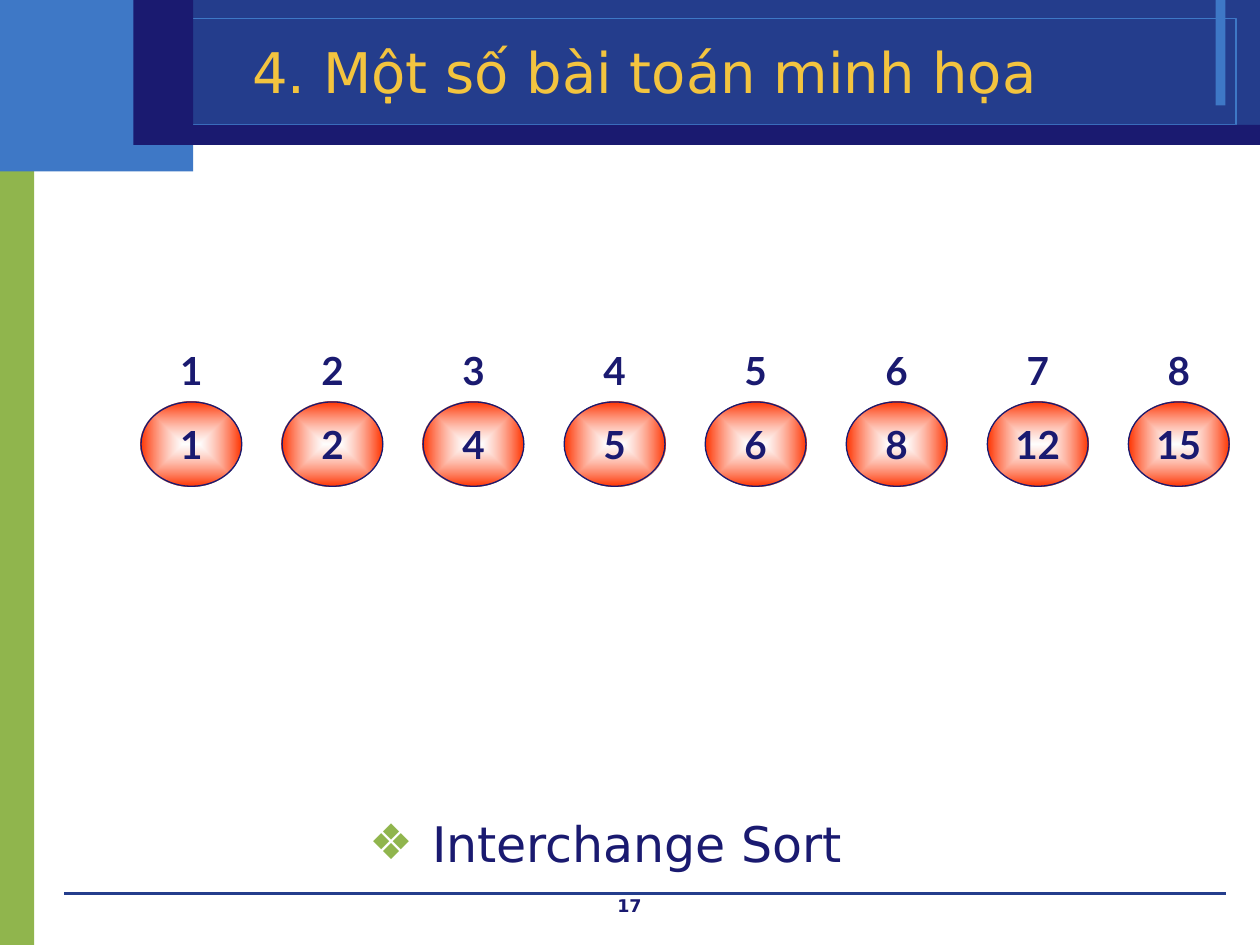
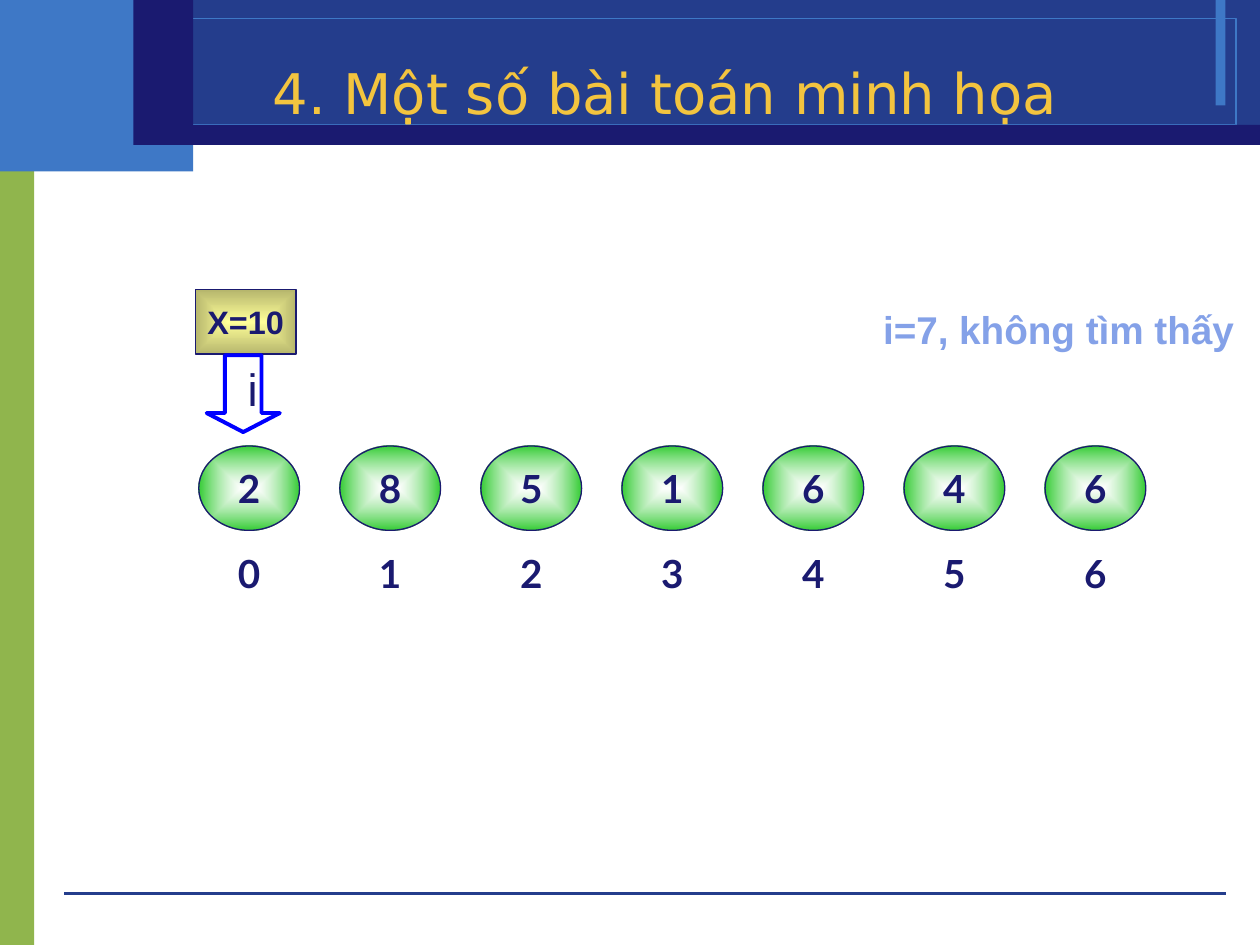
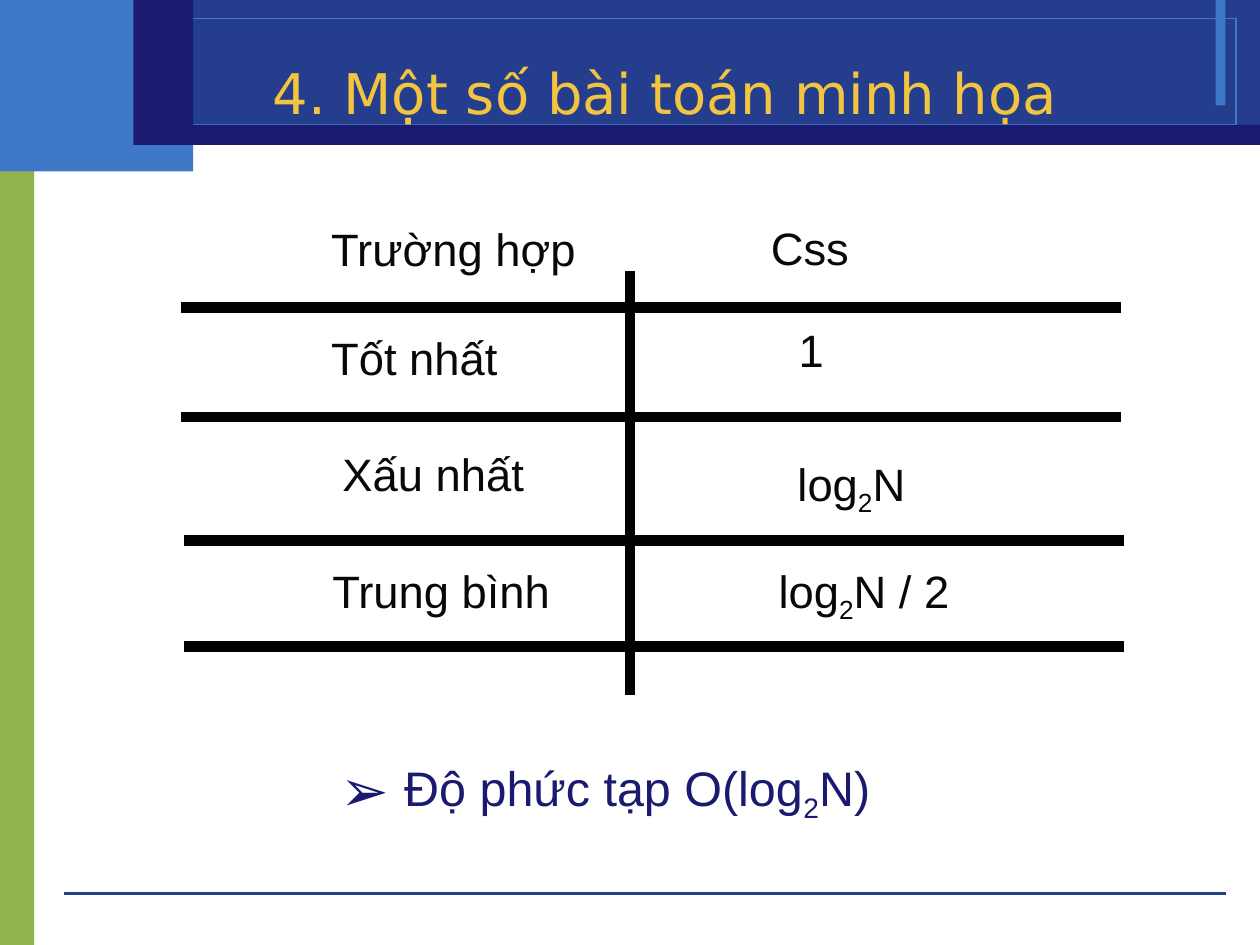
from lxml.etree import SubElement
from pptx import Presentation
from pptx.dml.color import RGBColor
from pptx.enum.shapes import MSO_CONNECTOR, MSO_SHAPE
from pptx.enum.text import MSO_ANCHOR, MSO_AUTO_SIZE, PP_ALIGN
from pptx.oxml import parse_xml
from pptx.oxml.ns import nsdecls, qn
from pptx.util import Pt

COLOURS = {
    "navy": "1A1A70", "band": "243D8C", "sky": "3E78C6", "leaf": "90B54D",
    "gold": "F3C43F", "white": "FFFFFF", "red": "FF3300", "green": "33CC33",
    "cream": "FFFF99", "olive": "B6B66D", "arrow": "0000FF", "pale": "84A1E8",
    "black": "000000", "ink": "080808",
}
TITLE = "4. Một số bài toán minh họa"
TITLE_FONT, BODY_FONT, NUMBER_FONT = "DejaVu Sans", "Arial", "Lato"

BANDS = [
    ((0, 76.8, 19.6, 463.2), "leaf", None),
    ((0, 0, 110.4, 98), "sky", None),
    ((110.4, 0, 609.6, 82.8), "band", None),
    ((694.6, 0, 5.6, 60.2), "sky", None),
    ((14.4, 10.4, 692, 61), None, "sky"),
    ((93.4, 71.4, 626.6, 11.4), "navy", None),
    ((76.2, 0, 34.2, 82.8), "navy", None),
]
FOOTER_RULE = (36.7, 510.5, 700.6, 510.5)

SORTED_VALUES = [1, 2, 4, 5, 6, 8, 12, 15]
SEARCHED_VALUES = [2, 8, 5, 1, 6, 4, 6]
CIRCLE_WIDTH, CIRCLE_HEIGHT, CIRCLE_PITCH = 57.6, 48.2, 80.6

CASE_TEXTS = [
    (("Trường hợp",), 182.2, 123.1, 155.5),
    (("Css",), 433.4, 122.4, 59),
    (("Tốt nhất",), 182.2, 185, 110.2),
    (("1",), 449.3, 180.7, 28.8),
    (("Xấu nhất",), 188.6, 251.3, 118.8),
    (("log", "2", "N"), 448.6, 257, 77.8),
    (("Trung bình",), 182.9, 318.2, 139.7),
    (("log", "2", "N / 2"), 437.8, 318.2, 113.8),
]
CASE_RULES = [
    (103.7, 175.7, 640.8, 175.7),
    (103.7, 238.3, 640.8, 238.3),
    (105.1, 308.9, 642.2, 308.9),
    (105.1, 369.4, 642.2, 369.4),
    (360, 154.8, 360, 397.4),
]


def colour(name):
    return RGBColor.from_string(COLOURS[name])


def write(shape, parts, size, font, ink, bold=False, align=PP_ALIGN.LEFT,
          anchor=MSO_ANCHOR.TOP, wrap=True):
    frame = shape.text_frame
    frame.word_wrap = wrap
    frame.auto_size = MSO_AUTO_SIZE.NONE
    frame.vertical_anchor = anchor
    paragraph = frame.paragraphs[0]
    paragraph.alignment = align
    for position, part in enumerate(parts):
        run = paragraph.add_run()
        run.text = part
        run.font.size = Pt(size)
        run.font.name = font
        run.font.bold = bold
        run.font.color.rgb = colour(ink)
        if position % 2:
            run.font._element.set("baseline", "-25000")
    return paragraph


def add_text(slide, box, parts, size, font, ink, **options):
    shape = slide.shapes.add_textbox(*map(Pt, box))
    return write(shape, parts, size, font, ink, **options)


def add_figure(slide, kind, box, fill=None, line=None, width=0.75):
    shape = slide.shapes.add_shape(kind, *map(Pt, box))
    shape.shadow.inherit = False
    if fill:
        shape.fill.solid()
        shape.fill.fore_color.rgb = colour(fill)
    else:
        shape.fill.background()
    if line:
        shape.line.color.rgb = colour(line)
        shape.line.width = Pt(width)
    else:
        shape.line.fill.background()
    return shape


def fill_from_centre(shape, inner, outer, opacity=100):
    gradient = parse_xml(
        f'<a:gradFill {nsdecls("a")} rotWithShape="1"><a:gsLst>'
        f'<a:gs pos="0"><a:srgbClr val="{COLOURS[inner]}">'
        f'<a:alpha val="{opacity * 1000}"/></a:srgbClr></a:gs>'
        f'<a:gs pos="100000"><a:srgbClr val="{COLOURS[outer]}"/></a:gs></a:gsLst>'
        '<a:path path="shape"><a:fillToRect l="50000" t="50000" r="50000" b="50000"/>'
        '</a:path></a:gradFill>')
    properties = shape.element.spPr
    properties.replace(properties.find(qn("a:noFill")), gradient)


def add_rule(slide, ends, ink, width):
    rule = slide.shapes.add_connector(MSO_CONNECTOR.STRAIGHT, *map(Pt, ends))
    rule.line.color.rgb = colour(ink)
    rule.line.width = Pt(width)
    SubElement(rule.element.spPr, qn("a:effectLst"))


def add_circles(slide, values, left, top, outer=None):
    for position, value in enumerate(values):
        box = (left + position * CIRCLE_PITCH, top, CIRCLE_WIDTH, CIRCLE_HEIGHT)
        circle = add_figure(slide, MSO_SHAPE.OVAL, box, line="navy" if outer else None)
        if outer:
            fill_from_centre(circle, "white", outer, 60)
        write(circle, [str(value)], 22.1, NUMBER_FONT, "navy", bold=True,
              align=PP_ALIGN.CENTER, anchor=MSO_ANCHOR.MIDDLE, wrap=False)


def set_bullet(paragraph, character, ink, indent, percent):
    properties = paragraph._p.get_or_add_pPr()
    properties.set("marL", str(Pt(indent)))
    properties.set("indent", str(-Pt(indent)))
    bullet_colour = SubElement(properties, qn("a:buClr"))
    SubElement(bullet_colour, qn("a:srgbClr")).set("val", COLOURS[ink])
    SubElement(properties, qn("a:buSzPct")).set("val", str(percent * 1000))
    SubElement(properties, qn("a:buFont")).set("typeface", BODY_FONT)
    SubElement(properties, qn("a:buChar")).set("char", character)


def add_slide(left, top):
    slide = presentation.slides.add_slide(layout)
    title = slide.shapes.title
    title.left, title.top, title.width, title.height = map(Pt, (left, top, 619.2, 44.6))
    write(title, [TITLE], 32, TITLE_FONT, "gold",
          align=PP_ALIGN.CENTER, anchor=MSO_ANCHOR.MIDDLE)
    return slide


def decorate_layout(slide):
    for placeholder in list(layout.placeholders)[1:]:
        placeholder.element.getparent().remove(placeholder.element)
    for box, fill, line in BANDS:
        add_figure(slide, MSO_SHAPE.RECTANGLE, box, fill, line, 0)
    add_rule(slide, FOOTER_RULE, "band", 0)
    for shape in list(slide.shapes)[1:]:
        layout.shapes.element.append(shape.element)


presentation = Presentation()
presentation.slide_width, presentation.slide_height = Pt(720), Pt(540)
layout = presentation.slide_layouts[5]

sort_slide = add_slide(59, 18.4)
decorate_layout(sort_slide)
add_circles(sort_slide, SORTED_VALUES, 80.6, 229.7, "red")
add_circles(sort_slide, range(1, len(SORTED_VALUES) + 1), 80.6, 187.2)
add_text(sort_slide, (275.8, 507.6, 167.8, 18), ["17"], 10, TITLE_FONT, "navy",
         bold=True, align=PP_ALIGN.CENTER)
method = add_text(sort_slide, (203.8, 451, 306.7, 61.2), ["Interchange Sort"],
                  28, TITLE_FONT, "navy")
method.line_spacing = 1.3
set_bullet(method, "❖", "leaf", 36, 100)

search_slide = add_slide(70.6, 30.2)
add_circles(search_slide, range(len(SEARCHED_VALUES)), 113.6, 303.1)
add_circles(search_slide, SEARCHED_VALUES, 113.6, 254.9, "green")
target = add_figure(search_slide, MSO_SHAPE.RECTANGLE, (111.6, 165.6, 57.6, 36.7),
                    line="navy")
fill_from_centre(target, "cream", "olive")
write(target, ["X=10"], 18.5, BODY_FONT, "navy", bold=True,
      align=PP_ALIGN.CENTER, anchor=MSO_ANCHOR.MIDDLE, wrap=False)
pointer = add_figure(search_slide, MSO_SHAPE.DOWN_ARROW, (118.1, 203, 41.8, 43.9),
                     line="arrow", width=2.25)
pointer.adjustments[0], pointer.adjustments[1] = 0.5, 0.26
pointer.text_frame.margin_left = Pt(13)
write(pointer, ["i"], 25.9, BODY_FONT, "navy")
add_text(search_slide, (497.5, 171.4, 223.9, 33.8), ["i=7, không tìm thấy"],
         22.1, BODY_FONT, "pale", bold=True)

cost_slide = add_slide(70.6, 30.2)
for ends in CASE_RULES:
    add_rule(cost_slide, ends, "black", 6)
for parts, left, top, width in CASE_TEXTS:
    add_text(cost_slide, (left, top, width, 38.9), parts, 25.9, BODY_FONT, "ink",
             wrap=False)
complexity = add_text(cost_slide, (187.2, 427, 329.8, 47.5),
                      ["Độ phức tạp O(log", "2", "N)"], 27.7, BODY_FONT, "navy",
                      anchor=MSO_ANCHOR.BOTTOM)
set_bullet(complexity, "➢", "navy", 36.7, 120)

presentation.save("out.pptx")
